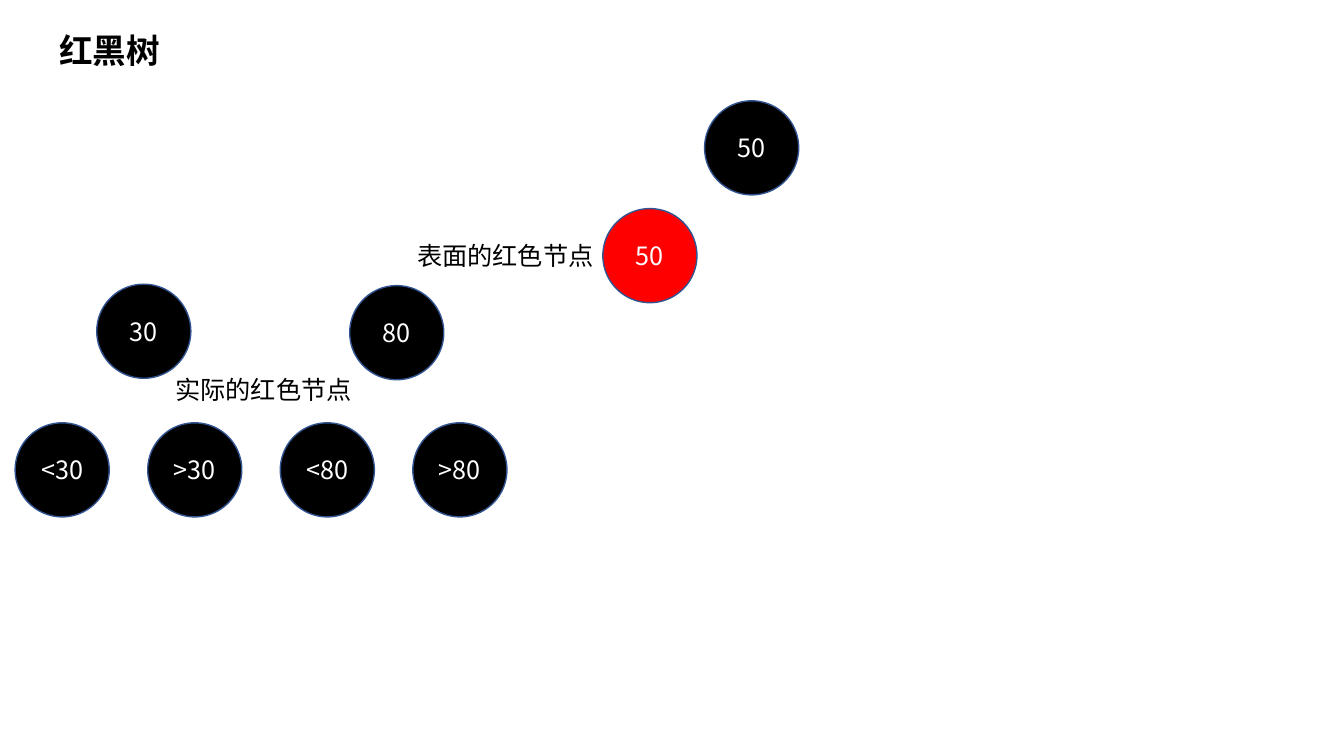
"""Build a slide of red-black tree nodes with labels."""
from lxml.etree import SubElement
from pptx import Presentation
from pptx.dml.color import RGBColor
from pptx.enum.shapes import MSO_SHAPE
from pptx.enum.text import MSO_ANCHOR, PP_ALIGN
from pptx.oxml.ns import qn
from pptx.util import Pt

THEME = {
    "font": "Noto Sans CJK SC",
    "black": RGBColor(0, 0, 0),
    "red": RGBColor(255, 0, 0),
    "white": RGBColor(255, 255, 255),
    "edge": RGBColor(0x32, 0x54, 0x91),
    "title": 24,
    "body": 18,
}
TITLE = ("红黑树", 35.3, 18, 259, 36)
LABELS = [
    ("表面的红色节点", 290.9, 167.8, 155.5, 29),
    ("实际的红色节点", 118.1, 263.5, 155.5, 29),
]
NODES = [
    ("30", 69.1, 203, "black"),
    ("50", 430.6, 149, "red"),
    ("80", 249.8, 204, "black"),
    ("50", 503.3, 72, "black"),
]
LEAVES = ["<30", ">30", "<80", ">80"]
LEFT, TOP, STEP = 10.8, 302, 94.7
SIZE = 67.2


def write(frame, text, color, size="body", bold=False):
    para = frame.paragraphs[0]
    para.text = text
    font = para.font
    font.name = THEME["font"]
    font.size = Pt(THEME[size])
    font.bold = bold
    font.color.rgb = THEME[color]
    props = para.runs[0].font._element
    SubElement(props, qn("a:ea")).set("typeface", THEME["font"])
    return para


def label(text, *box, size="body", bold=False):
    frame = slide.shapes.add_textbox(*map(Pt, box)).text_frame
    frame.word_wrap = True
    write(frame, text, "black", size, bold)


def node(text, left, top, fill):
    shape = slide.shapes.add_shape(
        MSO_SHAPE.OVAL, Pt(left), Pt(top), Pt(SIZE), Pt(SIZE))
    shape.shadow.inherit = False
    shape.fill.solid()
    shape.fill.fore_color.rgb = THEME[fill]
    shape.line.color.rgb = THEME["edge"]
    shape.line.width = Pt(1)
    shape.text_frame.vertical_anchor = MSO_ANCHOR.MIDDLE
    write(shape.text_frame, text, "white").alignment = PP_ALIGN.CENTER


deck = Presentation()
deck.slide_width, deck.slide_height = Pt(960), Pt(540)
slide = deck.slides.add_slide(deck.slide_layouts[6])

label(*TITLE, size="title", bold=True)
for item in NODES:
    node(*item)
for index, text in enumerate(LEAVES):
    node(text, LEFT + index * STEP, TOP, "black")
for item in LABELS:
    label(*item)

deck.save("out.pptx")
